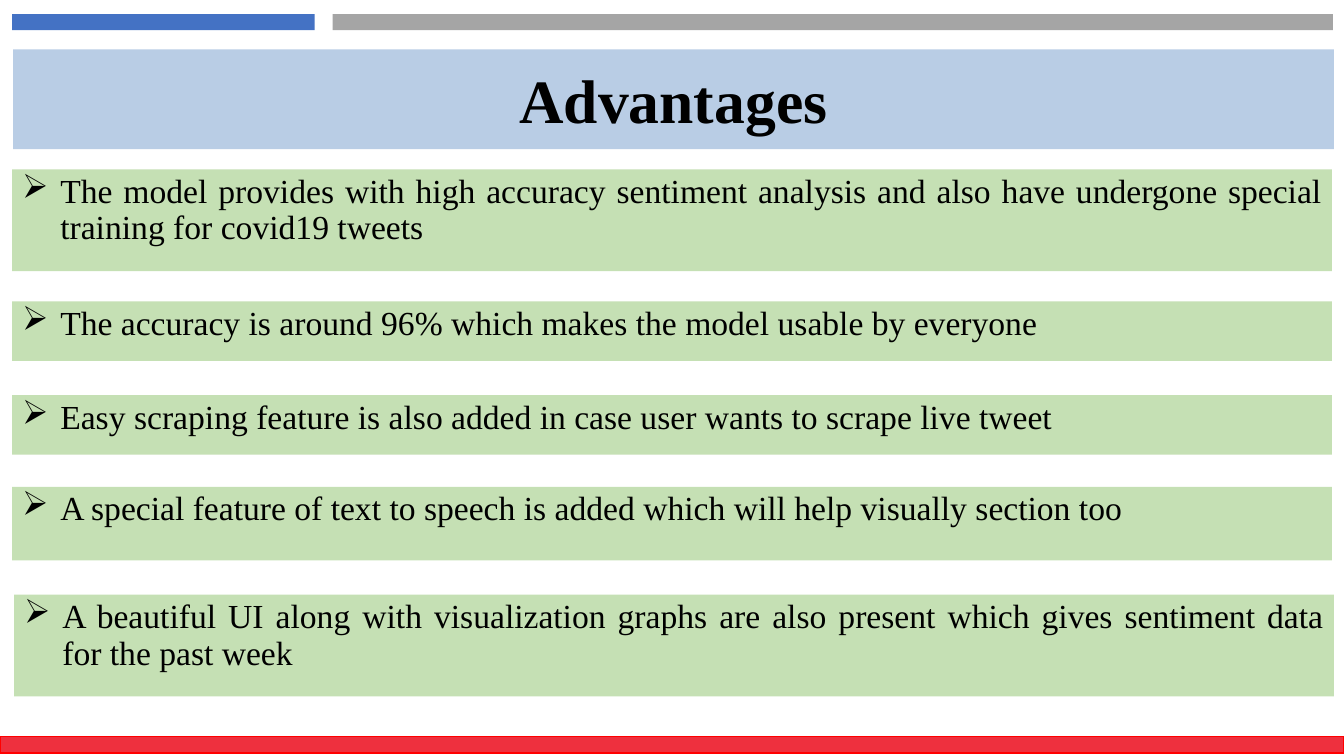
from lxml.etree import SubElement
from pptx import Presentation
from pptx.dml.color import RGBColor
from pptx.enum.shapes import MSO_SHAPE
from pptx.enum.text import MSO_ANCHOR, PP_ALIGN
from pptx.oxml.ns import qn
from pptx.util import Inches, Pt

COLORS = {
    "blue": "4472C4",
    "gray": "A5A5A5",
    "title": "B9CDE5",
    "green": "C5E0B4",
    "red": "EE303E",
    "red_line": "FF0000",
    "text": "000000",
}
FONT = "Times New Roman"
BULLET = "\u27a2"
INDENT = Inches(0.38)

# Left, top, height and wording of each advantage
ADVANTAGES = [
    (0.12, 1.68, 1.01, "The model provides with high accuracy sentiment analysis "
     "and also have undergone special training for covid19 tweets"),
    (0.12, 2.99, 0.59, "The accuracy is around 96% which makes the model usable by everyone"),
    (0.12, 3.92, 0.59, "Easy scraping feature is also added in case user wants "
     "to scrape live tweet"),
    (0.12, 4.83, 0.73, "A special feature of text to speech is added which will help "
     "visually section too"),
    (0.14, 5.9, 1.01, "A beautiful UI along with visualization graphs are also present "
     "which gives sentiment data for the past week"),
]


def color(name):
    return RGBColor.from_string(COLORS[name])


def add_bar(page, left, top, width, height, fill, line=None):
    bar = page.shapes.add_shape(MSO_SHAPE.RECTANGLE, Inches(left), Inches(top),
                                Inches(width), Inches(height))
    bar.shadow.inherit = False
    bar.fill.solid()
    bar.fill.fore_color.rgb = color(fill)
    if line:
        bar.line.color.rgb = color(line)
        bar.line.width = Pt(1)
    else:
        bar.line.fill.background()
    return bar


def write_text(bar, text, size, align, anchor, bold=False):
    frame = bar.text_frame
    frame.word_wrap = True
    frame.vertical_anchor = anchor
    paragraph = frame.paragraphs[0]
    paragraph.text = text
    paragraph.alignment = align
    font = paragraph.font
    font.name = FONT
    font.size = Pt(size)
    font.bold = bold
    font.color.rgb = color("text")
    return paragraph


def add_title(page, text):
    bar = add_bar(page, 0.13, 0.49, 13.1, 0.99, "title")
    write_text(bar, text, 44, PP_ALIGN.CENTER, MSO_ANCHOR.MIDDLE, bold=True)


def add_bullet(paragraph):
    properties = paragraph._p.get_or_add_pPr()
    properties.set("marL", str(INDENT))
    properties.set("indent", str(-INDENT))
    bullet = SubElement(properties, qn("a:buChar"))
    bullet.set("char", BULLET)
    # The bullet has to come before the default run properties
    defaults = properties.find(qn("a:defRPr"))
    if defaults is not None:
        defaults.addprevious(bullet)


def add_advantage(page, left, top, height, text):
    bar = add_bar(page, left, top, 13.09, height, "green")
    paragraph = write_text(bar, text, 24, PP_ALIGN.JUSTIFY, MSO_ANCHOR.TOP)
    paragraph.line_spacing = 0.9
    paragraph.space_before = Pt(10)
    add_bullet(paragraph)


def main():
    deck = Presentation()
    deck.slide_width = Inches(13.33)
    deck.slide_height = Inches(7.5)
    page = deck.slides.add_slide(deck.slide_layouts[6])

    # Header strips
    add_bar(page, 0.12, 0.14, 3, 0.16, "blue")
    add_bar(page, 3.3, 0.14, 9.92, 0.16, "gray")

    # Title and advantages
    add_title(page, "Advantages")
    for advantage in ADVANTAGES:
        add_advantage(page, *advantage)

    # Footer strip
    add_bar(page, 0, 7.31, 13.33, 0.16, "red", line="red_line")

    deck.save("out.pptx")


main()
